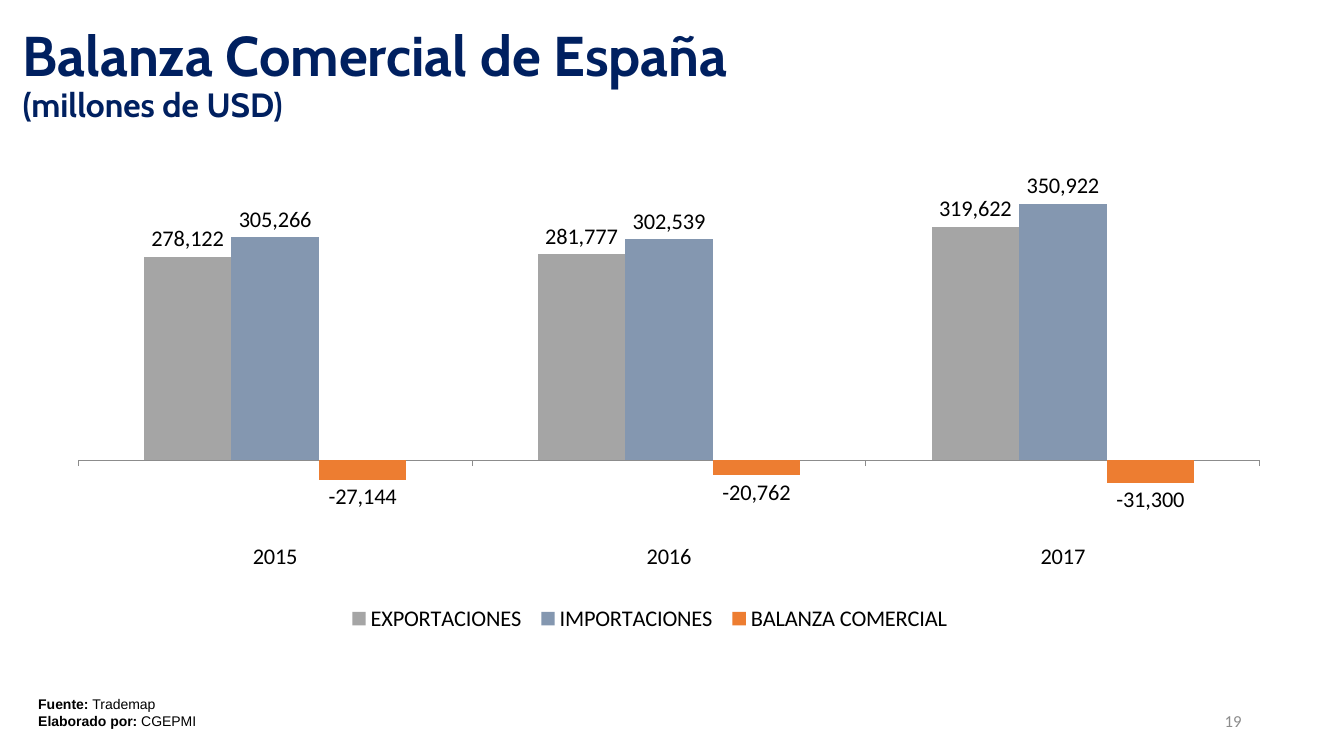
"""Build the slide on Spain's trade balance."""
from dataclasses import dataclass

from lxml import etree
from pptx import Presentation
from pptx.chart.data import CategoryChartData
from pptx.dml.color import RGBColor
from pptx.enum.chart import (XL_CHART_TYPE, XL_LABEL_POSITION, XL_LEGEND_POSITION,
                             XL_TICK_LABEL_POSITION, XL_TICK_MARK)
from pptx.enum.text import MSO_ANCHOR, MSO_AUTO_SIZE, PP_ALIGN
from pptx.oxml.ns import qn
from pptx.util import Pt

COLUMNS = XL_CHART_TYPE.COLUMN_CLUSTERED
OUTSIDE = XL_LABEL_POSITION.OUTSIDE_END
LEGEND_BOTTOM = XL_LEGEND_POSITION.BOTTOM
LABELS_LOW = XL_TICK_LABEL_POSITION.LOW
TICK_OUT, TICK_NONE = XL_TICK_MARK.OUTSIDE, XL_TICK_MARK.NONE
MIDDLE, TOP = MSO_ANCHOR.MIDDLE, MSO_ANCHOR.TOP
NO_FIT = MSO_AUTO_SIZE.NONE
LEFT, RIGHT = PP_ALIGN.LEFT, PP_ALIGN.RIGHT

EMU_PER_PX = 9525
YEARS = ["2015", "2016", "2017"]
BALANCE = {
    "EXPORTACIONES": (278122, 281777, 319622),
    "IMPORTACIONES": (305266, 302539, 350922),
    "BALANZA COMERCIAL": (-27144, -20762, -31300),
}


@dataclass(frozen=True)
class Theme:
    """Fonts, type sizes and colours of the slide."""
    title_font: str = "Cabin"
    body_font: str = "Calibri"
    source_font: str = "Arial"
    title_size: int = 40
    subtitle_size: int = 24
    chart_size: int = 16
    number_size: int = 12
    source_size: int = 10
    navy: str = "002060"
    black: str = "000000"
    grey: str = "8C8C8C"
    series: tuple = ("A5A5A5", "8497B0", "ED7D31")


THEME = Theme()


def px(*lengths):
    """Turn pixel lengths into EMU."""
    return [length * EMU_PER_PX for length in lengths]


def style(font, name, size, color, bold=False):
    """Set the face, size, colour and weight of a font."""
    font.name, font.size, font.bold = name, Pt(size), bold
    font.color.rgb = RGBColor.from_string(color)


def add_run(p, text, name, size, color, bold=False):
    """Append one formatted run to a paragraph."""
    r = p.add_run()
    r.text = text
    style(r.font, name, size, color, bold)


def set_title(slide, box, title, subtitle):
    """Place the title placeholder and fill its two lines."""
    sp = slide.shapes.title
    sp.left, sp.top, sp.width, sp.height = px(*box)
    tf = sp.text_frame
    tf.auto_size, tf.vertical_anchor = NO_FIT, MIDDLE
    p = tf.paragraphs[0]
    p.alignment, p.line_spacing = LEFT, 0.9
    add_run(p, title, THEME.title_font, THEME.title_size, THEME.navy, True)
    p.add_line_break()
    add_run(p, subtitle, THEME.title_font, THEME.subtitle_size, THEME.navy, True)


def add_text(slide, box, anchor):
    """Add a wrapping text box and return its text frame."""
    tf = slide.shapes.add_textbox(*px(*box)).text_frame
    tf.word_wrap, tf.vertical_anchor = True, anchor
    return tf


def add_sources(slide, box, sources):
    """Add one line per source, with a bold label."""
    tf = add_text(slide, box, TOP)
    for i, (label, value) in enumerate(sources):
        p = tf.add_paragraph() if i else tf.paragraphs[0]
        add_run(p, label, THEME.source_font, THEME.source_size, THEME.black, True)
        add_run(p, value, THEME.source_font, THEME.source_size, THEME.black)


def add_page_number(slide, box, number):
    """Add the right-aligned page number."""
    p = add_text(slide, box, MIDDLE).paragraphs[0]
    p.alignment = RIGHT
    add_run(p, number, THEME.body_font, THEME.number_size, THEME.grey)


def set_layout(parent, before, area, inner=False):
    """Fix a chart part to an area given as fractions of the chart."""
    for old in parent.findall(qn("c:layout")):
        parent.remove(old)
    layout = etree.Element(qn("c:layout"))
    manual = etree.SubElement(layout, qn("c:manualLayout"))
    values = [("layoutTarget", "inner")] if inner else []
    values += [("xMode", "edge"), ("yMode", "edge"), *zip("xywh", area)]
    for tag, value in values:
        etree.SubElement(manual, qn(f"c:{tag}")).set("val", str(value))
    parent.find(qn(before)).addprevious(layout)


def format_axes(chart):
    """Show the years below the columns and hide the value axis."""
    years, values = chart.category_axis, chart.value_axis
    years.tick_label_position = LABELS_LOW
    years.major_tick_mark, years.minor_tick_mark = TICK_OUT, TICK_NONE
    years.has_major_gridlines = values.has_major_gridlines = False
    years.format.line.color.rgb = RGBColor.from_string(THEME.grey)
    years.format.line.width = Pt(0.75)
    values.minimum_scale, values.maximum_scale = -100000, 400000
    values.visible = False


def add_balance_chart(slide, box):
    """Add the clustered columns with labels and a legend."""
    data = CategoryChartData(number_format="#,##0")
    data.categories = YEARS
    for name, values in BALANCE.items():
        data.add_series(name, values)
    chart = slide.shapes.add_chart(COLUMNS, *px(*box), data).chart
    style(chart.font, THEME.body_font, THEME.chart_size, THEME.black)
    chart.has_title = False
    format_axes(chart)

    plot = chart.plots[0]
    plot.gap_width, plot.overlap, plot.vary_by_categories = 150, 0, False
    for series, color in zip(plot.series, THEME.series):
        series.invert_if_negative = False
        series.format.fill.solid()
        series.format.fill.fore_color.rgb = RGBColor.from_string(color)
        labels = series.data_labels
        labels.show_value, labels.position = True, OUTSIDE
        labels.number_format, labels.number_format_is_linked = "#,##0", False

    chart.has_legend = True
    legend = chart.legend
    legend.position, legend.include_in_layout = LEGEND_BOTTOM, False
    set_layout(legend._element, "c:overlay", (0.23, 0.91, 0.5, 0.09))
    plot_area = chart._chartSpace.chart.plotArea
    set_layout(plot_area, "c:barChart", (0.019, 0.022, 0.953, 0.756), True)


def main():
    """Build and save the slide."""
    prs = Presentation()
    prs.slide_width, prs.slide_height = px(1280, 720)
    slide = prs.slides.add_slide(prs.slide_layouts[5])
    set_title(slide, (12, 2, 929, 141), "Balanza Comercial de España", "(millones de USD)")
    add_sources(slide, (27, 658, 537, 42),
                [("Fuente: ", "Trademap"), ("Elaborado por: ", "CGEPMI")])
    add_page_number(slide, (904, 667, 288, 38), "19")
    add_balance_chart(slide, (52, 150, 1181, 460))
    prs.save("out.pptx")


if __name__ == "__main__":
    main()
